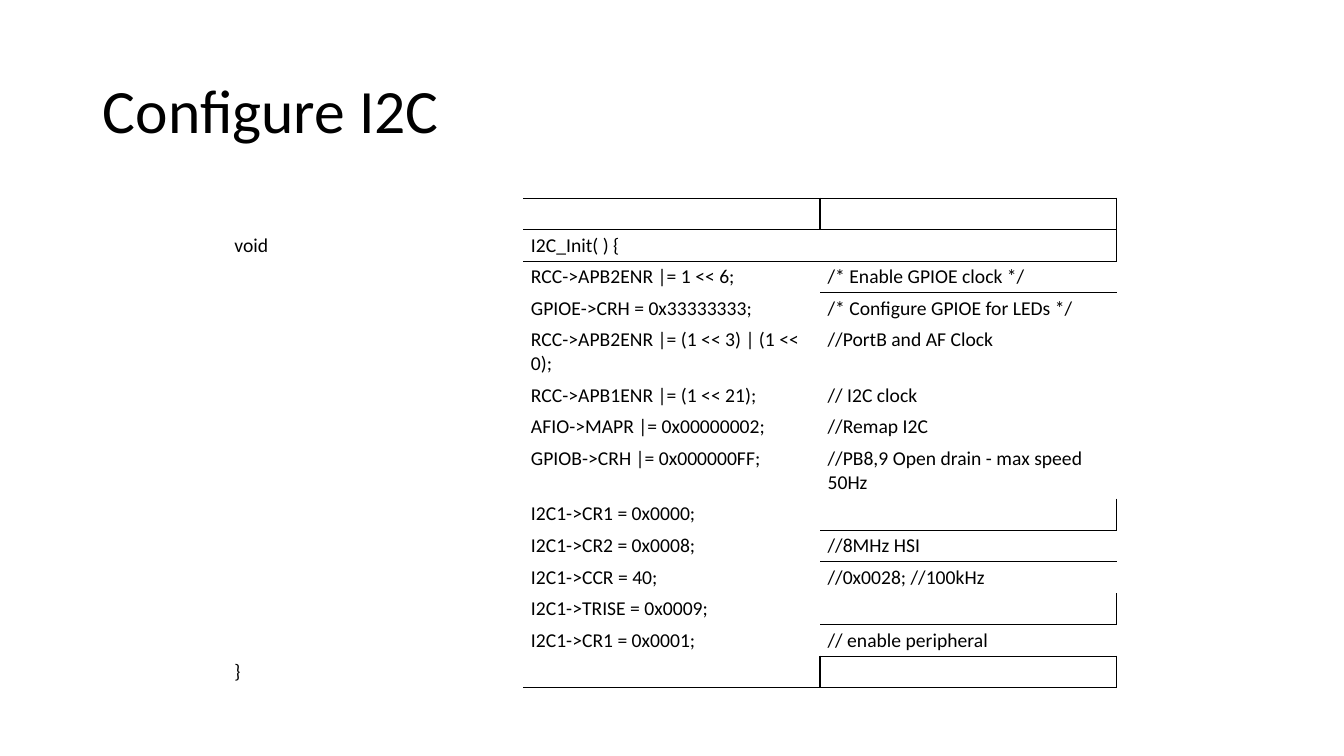
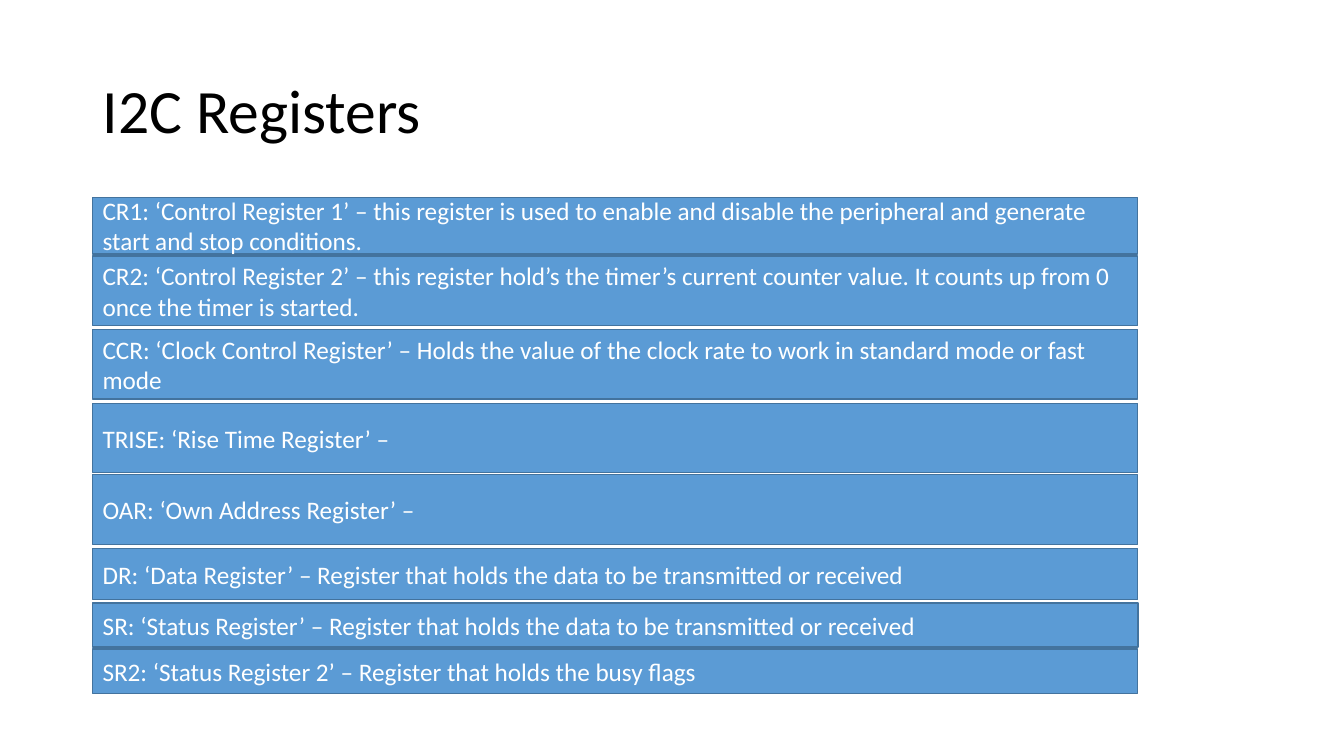
"""Build two slides on configuring I2C: set-up code and register summary."""
from dataclasses import dataclass

import lxml.etree
import pptx
import pptx.dml.color
import pptx.enum.shapes
import pptx.enum.text
import pptx.oxml.ns
import pptx.util

Pt = pptx.util.Pt
RGB = pptx.dml.color.RGBColor.from_string
qn = pptx.oxml.ns.qn
SubElement = lxml.etree.SubElement
ALIGN = pptx.enum.text.PP_ALIGN
MIDDLE = pptx.enum.text.MSO_ANCHOR.MIDDLE


@dataclass(frozen=True)
class Theme:
    """Colours, typeface and type sizes of the deck."""
    font: str = "Calibri"
    ink: str = "000000"
    paper: str = "FFFFFF"
    bar: str = "5B9BD5"
    bar_edge: str = "43739E"
    title_size: int = 44
    bar_size: int = 18
    code_size: int = 14


THEME = Theme()
NO_GRID_STYLE = "{2D5ABB26-0587-4C30-8999-92F81FD0307C}"
SLIDE_SIZE = (960, 540)
TITLE_AREA = (66.2, 28.8, 828, 104.4)

CODE_TITLE = "Configure I2C"
CODE_LEFT, CODE_TOP = 162, 141.6
CODE_COLUMN, CODE_ROW = 211.9, 22.56
CODE_INSET_X, CODE_INSET_Y = 5.4, 2.7
# None marks an outlined cell without fill; "" is an empty white cell.
CODE_ROWS = [
    ("", None, None),
    ("void", "I2C_Init( ) {", None),
    ("", "RCC->APB2ENR |= 1 << 6;", "/* Enable GPIOE clock */"),
    ("", "GPIOE->CRH = 0x33333333;", "/* Configure GPIOE for LEDs */"),
    ("", "RCC->APB2ENR |= (1 << 3) | (1 << 0);", "//PortB and AF Clock"),
    ("", "RCC->APB1ENR |= (1 << 21);", "// I2C clock"),
    ("", "AFIO->MAPR |= 0x00000002;", "//Remap I2C"),
    ("", "GPIOB->CRH |= 0x000000FF;", "//PB8,9 Open drain - max speed 50Hz"),
    ("", "I2C1->CR1 = 0x0000;", None),
    ("", "I2C1->CR2 = 0x0008;", "//8MHz HSI"),
    ("", "I2C1->CCR = 40;", "//0x0028; //100kHz"),
    ("", "I2C1->TRISE = 0x0009;", None),
    ("", "I2C1->CR1 = 0x0001;", "// enable peripheral"),
    ("}", None, None),
]
TWO_LINE_ROWS = {4, 7}
EXTRA_LINE = 17.1

REGISTER_TITLE = "I2C Registers"
BAR_LEFT, BAR_WIDTH = 66.2, 746.6
BODY_REGISTER = "SR"
REGISTERS = [
    ("CR1", 141.1, 40.3, "‘Control Register 1’ – this register is used to enable and "
     "disable the peripheral and generate start and stop conditions."),
    ("CR2", 182.9, 49.7, "‘Control Register 2’ – this register hold’s the timer’s current "
     "counter value. It counts up from 0 once the timer is started."),
    ("CCR", 235.4, 49.7, "‘Clock Control Register’ – Holds the value of the clock rate to "
     "work in standard mode or fast mode"),
    ("TRISE", 288, 49.7, "‘Rise Time Register’ –"),
    ("OAR", 339.1, 49.7, "‘Own Address Register’ –"),
    ("DR", 391.7, 36.7, "‘Data Register’ – Register that holds the data to be transmitted "
     "or received"),
    ("SR", 430.6, 31.7, "‘Status Register’ – Register that holds the data to be "
     "transmitted or received"),
    ("SR2", 463.7, 31.7, "‘Status Register 2’ – Register that holds the busy flags"),
]


def write(frame, text, size, color=THEME.ink, spacing=1.0, before=0):
    """Put one formatted paragraph in a text frame and return it."""
    frame.word_wrap = True
    para = frame.paragraphs[0]
    para.alignment = ALIGN.LEFT
    para.line_spacing = spacing
    para.space_before = Pt(before)
    if text:
        span = para.add_run()
        span.text = text
        span.font.name = THEME.font
        span.font.size = Pt(size)
        span.font.color.rgb = RGB(color)
    else:
        SubElement(para._p, qn("a:endParaRPr"), sz=str(size * 100))
    return para


def place(shape, left, top, width, height):
    """Set the position and size of a shape in points."""
    shape.left, shape.top = Pt(left), Pt(top)
    shape.width, shape.height = Pt(width), Pt(height)


def add_page(deck, layout, title):
    """Add a slide with its title."""
    page = deck.slides.add_slide(deck.slide_layouts.get_by_name(layout))
    write(page.shapes.title.text_frame, title, THEME.title_size, spacing=0.9)
    return page


def is_outlined(row, column):
    """Tell whether a table position holds an outlined cell."""
    return row >= 0 and column >= 0 and CODE_ROWS[row][column] is None


def draw_borders(cell, row, column):
    """Draw the edges that a cell shares with outlined cells."""
    outlined = is_outlined(row, column)
    edges = {
        "a:lnL": is_outlined(row, column - 1),
        "a:lnR": outlined,
        "a:lnT": is_outlined(row - 1, column) or (row == 0 and outlined),
        "a:lnB": outlined,
    }
    properties = cell._tc.get_or_add_tcPr()
    for tag, visible in edges.items():
        if visible:
            line = SubElement(properties, qn(tag), w=str(Pt(1)))
            fill = SubElement(line, qn("a:solidFill"))
            SubElement(fill, qn("a:srgbClr"), val=THEME.ink)


def add_code_table(page):
    """Add the table of initialisation code and comments."""
    columns = len(CODE_ROWS[0])
    heights = [CODE_ROW + EXTRA_LINE * (row in TWO_LINE_ROWS)
               for row in range(len(CODE_ROWS))]
    holder = page.shapes.add_table(
        len(CODE_ROWS), columns, Pt(CODE_LEFT), Pt(CODE_TOP),
        Pt(CODE_COLUMN * columns), Pt(sum(heights)))
    table = holder.table
    table.first_row = table.horz_banding = False
    for style in holder._element.iter(qn("a:tableStyleId")):
        style.text = NO_GRID_STYLE
    for column in table.columns:
        column.width = Pt(CODE_COLUMN)
    for row, texts in enumerate(CODE_ROWS):
        table.rows[row].height = Pt(heights[row])
        for column, text in enumerate(texts):
            cell = table.cell(row, column)
            cell.margin_left = cell.margin_right = Pt(CODE_INSET_X)
            cell.margin_top = cell.margin_bottom = Pt(CODE_INSET_Y)
            draw_borders(cell, row, column)
            if text is None:
                cell.fill.background()
            else:
                cell.fill.solid()
                cell.fill.fore_color.rgb = RGB(THEME.paper)
            write(cell.text_frame, text, THEME.code_size)


def add_register_bars(page):
    """Add one bar for each register, with the body placeholder among them."""
    for name, top, height, meaning in REGISTERS:
        is_body = name == BODY_REGISTER
        if is_body:
            bar = page.placeholders[1]
        else:
            bar = page.shapes.add_shape(
                pptx.enum.shapes.MSO_SHAPE.RECTANGLE, 0, 0, 0, 0)
            bar.shadow.inherit = False
        place(bar, BAR_LEFT, top, BAR_WIDTH, height)
        bar.fill.solid()
        bar.fill.fore_color.rgb = RGB(THEME.bar)
        bar.line.color.rgb = RGB(THEME.bar_edge)
        bar.line.width = Pt(1)
        frame = bar.text_frame
        frame.vertical_anchor = MIDDLE
        frame.auto_size = pptx.enum.text.MSO_AUTO_SIZE.NONE
        para = write(frame, f"{name}: {meaning}", THEME.bar_size, color=THEME.paper)
        if is_body:
            properties = para._p.get_or_add_pPr()
            properties.set("marL", "0")
            properties.set("indent", "0")
            SubElement(properties, qn("a:buNone"))


def main():
    """Build and save the deck."""
    deck = pptx.Presentation()
    deck.slide_width, deck.slide_height = map(Pt, SLIDE_SIZE)
    for shape in deck.slide_master.placeholders:
        if shape.placeholder_format.type == pptx.enum.shapes.PP_PLACEHOLDER.TITLE:
            place(shape, *TITLE_AREA)
            shape.text_frame.vertical_anchor = MIDDLE
    add_code_table(add_page(deck, "Title Only", CODE_TITLE))
    add_register_bars(add_page(deck, "Title and Content", REGISTER_TITLE))
    deck.save("out.pptx")


if __name__ == "__main__":
    main()
